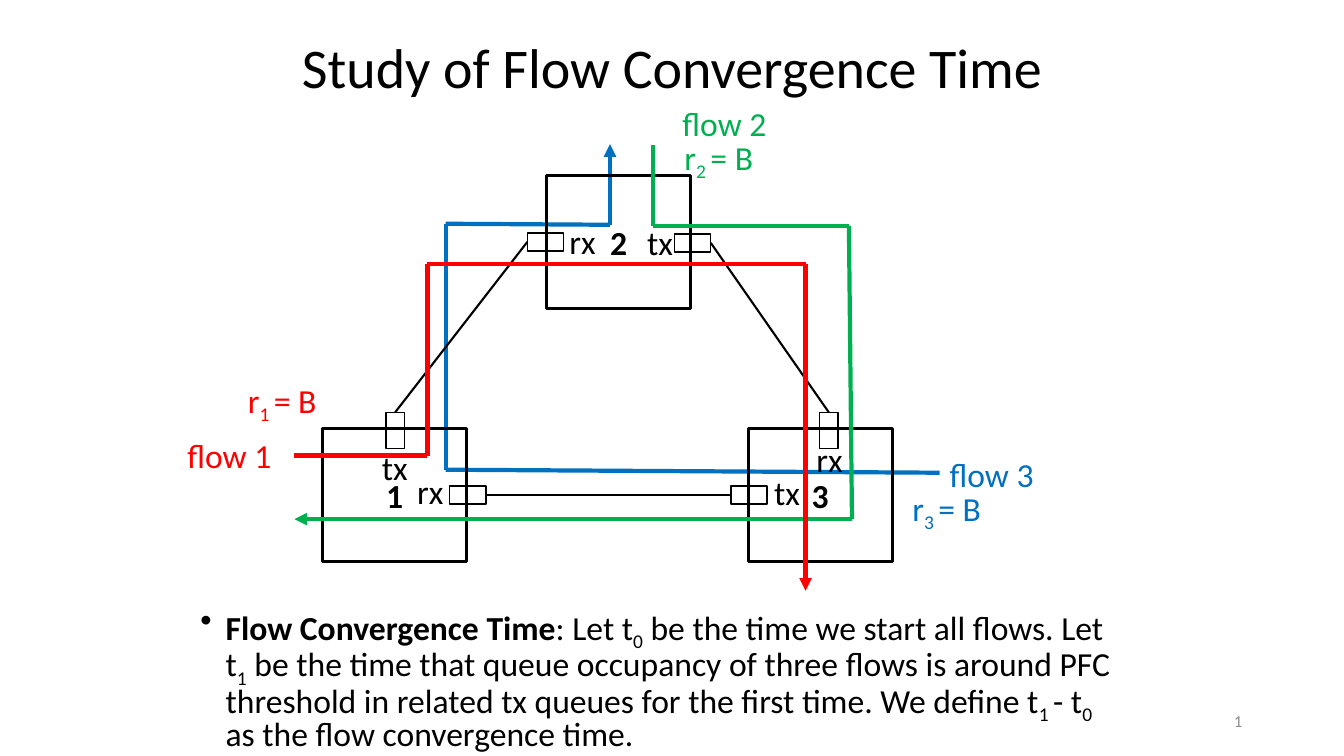
"""Build the flow convergence time slide: three switches, three flows, a definition."""
from dataclasses import dataclass
from itertools import pairwise
from typing import Any

from lxml import etree
from pptx import Presentation
from pptx.dml.color import RGBColor
from pptx.enum.shapes import MSO_CONNECTOR, MSO_SHAPE
from pptx.enum.text import MSO_ANCHOR, MSO_AUTO_SIZE, PP_ALIGN
from pptx.oxml.ns import qn
from pptx.util import Emu, Pt

STRAIGHT = MSO_CONNECTOR.STRAIGHT
RECTANGLE = MSO_SHAPE.RECTANGLE
TOP, MIDDLE = MSO_ANCHOR.TOP, MSO_ANCHOR.MIDDLE
LEFT, CENTER, RIGHT = PP_ALIGN.LEFT, PP_ALIGN.CENTER, PP_ALIGN.RIGHT
FIT_SHAPE, FIXED = MSO_AUTO_SIZE.SHAPE_TO_FIT_TEXT, MSO_AUTO_SIZE.NONE
EMU_PER_PX = 9144
FONT = "Calibri"
BLACK, GRAY = "000000", "8C8C8C"
BLUE, GREEN, RED = "0070C0", "00B050", "FF0000"
SITE_TOP, SITE_LEFT, SITE_RIGHT = 0, 1, 3


@dataclass(frozen=True)
class Run:
    text: str
    bold: bool = False
    subscript: bool = False


@dataclass(frozen=True)
class Label:
    left: int
    top: int
    width: int
    runs: tuple[Run, ...]
    color: str = BLACK
    height: int = 50
    size: int = 24
    align: Any = LEFT
    anchor: Any = TOP
    wrap: bool = False
    fit: Any = FIT_SHAPE


@dataclass(frozen=True)
class Box:
    left: int
    top: int
    width: int
    height: int
    weight: float
    number: str = ""


@dataclass(frozen=True)
class Link:
    start: str
    start_site: int
    end: str
    end_site: int


@dataclass(frozen=True)
class Flow:
    color: str
    points: tuple[tuple[int, int], ...]


SWITCHES = [
    Box(left, top, 143, 132, 2.25, number)
    for number, left, top in (("2", 542, 174), ("1", 320, 425), ("3", 742, 425))
]
PORTS = {
    "2 rx": Box(523, 231, 36, 18, 1),
    "2 tx": Box(669, 232, 36, 18, 1),
    "1 tx": Box(383, 409, 18, 36, 1),
    "1 rx": Box(446, 482, 36, 18, 1),
    "3 rx": Box(813, 409, 18, 36, 1),
    "3 tx": Box(725, 482, 36, 18, 1),
}
LINKS = [
    Link("2 rx", SITE_LEFT, "1 tx", SITE_TOP),
    Link("2 tx", SITE_RIGHT, "3 rx", SITE_TOP),
    Link("1 rx", SITE_RIGHT, "3 tx", SITE_LEFT),
]
FLOW_1 = Flow(RED, ((292, 452), (424, 452), (424, 262), (799, 262), (799, 586)))
FLOW_2 = Flow(GREEN, ((648, 144), (648, 224), (842, 224), (845, 515), (292, 515)))
FLOW_3 = Flow(BLUE, ((932, 469), (442, 466), (442, 222), (605, 223), (605, 143)))

PORT_LABELS = [
    Label(left, top, 46, (Run(name),))
    for name, left, top in (
        ("rx", 800, 431), ("tx", 758, 463), ("tx", 632, 215),
        ("rx", 555, 214), ("tx", 369, 438), ("rx", 404, 462),
    )
]
FLOW_LABELS = [
    Label(left, top, 104, (Run(f"flow {number}"),), color)
    for number, left, top, color in (
        (1, 176, 427, RED), (2, 667, 97, GREEN), (3, 932, 445, BLUE),
    )
]
RATE_LABELS = [
    Label(left, top, 91, (Run("r"), Run(f"{number} ", subscript=True), Run("= B")), color)
    for number, left, top, color in (
        (1, 236, 372, RED), (2, 669, 131, GREEN), (3, 895, 479, BLUE),
    )
]
TITLE = Label(50, 27, 1233, (Run("Study of Flow Convergence Time"),),
              height=77, size=40, align=CENTER, wrap=True)
PAGE_NUMBER = Label(942, 695, 300, (Run("1"),), GRAY, height=40, size=12,
                    align=RIGHT, anchor=MIDDLE, wrap=True, fit=FIXED)
DEFINITION = Label(189, 601, 937, (
    Run("Flow Convergence Time", bold=True),
    Run(": Let t"),
    Run("0", subscript=True),
    Run(" be the time we start all flows. Let t"),
    Run("1", subscript=True),
    Run(" be the time that queue occupancy of three flows is around PFC threshold "
        "in related tx queues for the first time. We define t"),
    Run("1 ", subscript=True),
    Run("- t"),
    Run("0 ", subscript=True),
    Run("as the flow convergence time."),
), height=153, wrap=True, fit=FIXED)


def px(length: int) -> Emu:
    """Turn px into EMU."""
    return Emu(length * EMU_PER_PX)


def rgb(color: str) -> RGBColor:
    """Turn a hex string into a colour."""
    return RGBColor.from_string(color)


def set_format(target: Any, values: dict[str, Any]) -> None:
    """Set each named attribute of the target."""
    for name, value in values.items():
        setattr(target, name, value)


def write_run(paragraph: Any, run: Run, size: int, color: str) -> None:
    """Append a formatted run to a paragraph."""
    piece = paragraph.add_run()
    piece.text = run.text
    set_format(piece.font, {"name": FONT, "size": Pt(size), "bold": run.bold})
    piece.font.color.rgb = rgb(color)
    if run.subscript:
        piece._r.get_or_add_rPr().set("baseline", "-25000")


def draw_label(shapes: Any, label: Label) -> Any:
    """Draw a text box and return its paragraph."""
    frame = shapes.add_textbox(
        px(label.left), px(label.top), px(label.width), px(label.height)).text_frame
    set_format(frame, {"word_wrap": label.wrap, "auto_size": label.fit,
                       "vertical_anchor": label.anchor})
    paragraph = frame.paragraphs[0]
    paragraph.alignment = label.align
    for run in label.runs:
        write_run(paragraph, run, label.size, label.color)
    return paragraph


def draw_definition(shapes: Any, label: Label) -> None:
    """Draw the bulleted definition."""
    paragraph = draw_label(shapes, label)
    set_format(paragraph, {"line_spacing": 0.8, "space_before": Pt(10)})
    properties = paragraph._p.get_or_add_pPr()
    properties.set("marL", str(px(25)))
    properties.set("indent", str(px(-25)))
    etree.SubElement(properties, qn("a:buChar")).set("char", "•")


def draw_box(shapes: Any, box: Box) -> Any:
    """Draw an outlined rectangle with its number, if any."""
    shape = shapes.add_shape(
        RECTANGLE, px(box.left), px(box.top), px(box.width), px(box.height))
    shape.shadow.inherit = False
    shape.fill.background()
    shape.line.color.rgb = rgb(BLACK)
    shape.line.width = Pt(box.weight)
    if box.number:
        shape.text_frame.vertical_anchor = MIDDLE
        paragraph = shape.text_frame.paragraphs[0]
        paragraph.alignment = CENTER
        write_run(paragraph, Run(box.number, bold=True), 24, BLACK)
    return shape


def draw_line(shapes: Any, start: tuple[int, int], end: tuple[int, int],
              color: str, weight: float) -> Any:
    """Draw a straight connector without a shadow."""
    line = shapes.add_connector(STRAIGHT, *map(px, start + end))
    line.line.color.rgb = rgb(color)
    line.line.width = Pt(weight)
    etree.SubElement(line._element.spPr, qn("a:effectLst"))
    return line


def draw_flow(shapes: Any, flow: Flow) -> None:
    """Draw a flow segment by segment, with an arrowhead at its end."""
    for start, end in pairwise(flow.points):
        segment = draw_line(shapes, start, end, flow.color, 3)
    outline = segment.line._get_or_add_ln()
    etree.SubElement(outline, qn("a:tailEnd")).set("type", "triangle")


def main() -> None:
    """Build and save the slide."""
    deck = Presentation()
    set_format(deck, {"slide_width": px(1333), "slide_height": px(750)})
    shapes = deck.slides.add_slide(deck.slide_layouts[6]).shapes
    draw_label(shapes, PAGE_NUMBER)
    draw_flow(shapes, FLOW_3)
    draw_definition(shapes, DEFINITION)
    for switch in SWITCHES:
        draw_box(shapes, switch)
    ports = {name: draw_box(shapes, port) for name, port in PORTS.items()}
    for link in LINKS:
        cable = draw_line(shapes, (0, 0), (0, 0), BLACK, 1.5)
        cable.begin_connect(ports[link.start], link.start_site)
        cable.end_connect(ports[link.end], link.end_site)
    for flow in (FLOW_2, FLOW_1):
        draw_flow(shapes, flow)
    for label in (*PORT_LABELS, *FLOW_LABELS, *RATE_LABELS, TITLE):
        draw_label(shapes, label)
    deck.save("out.pptx")


if __name__ == "__main__":
    main()
